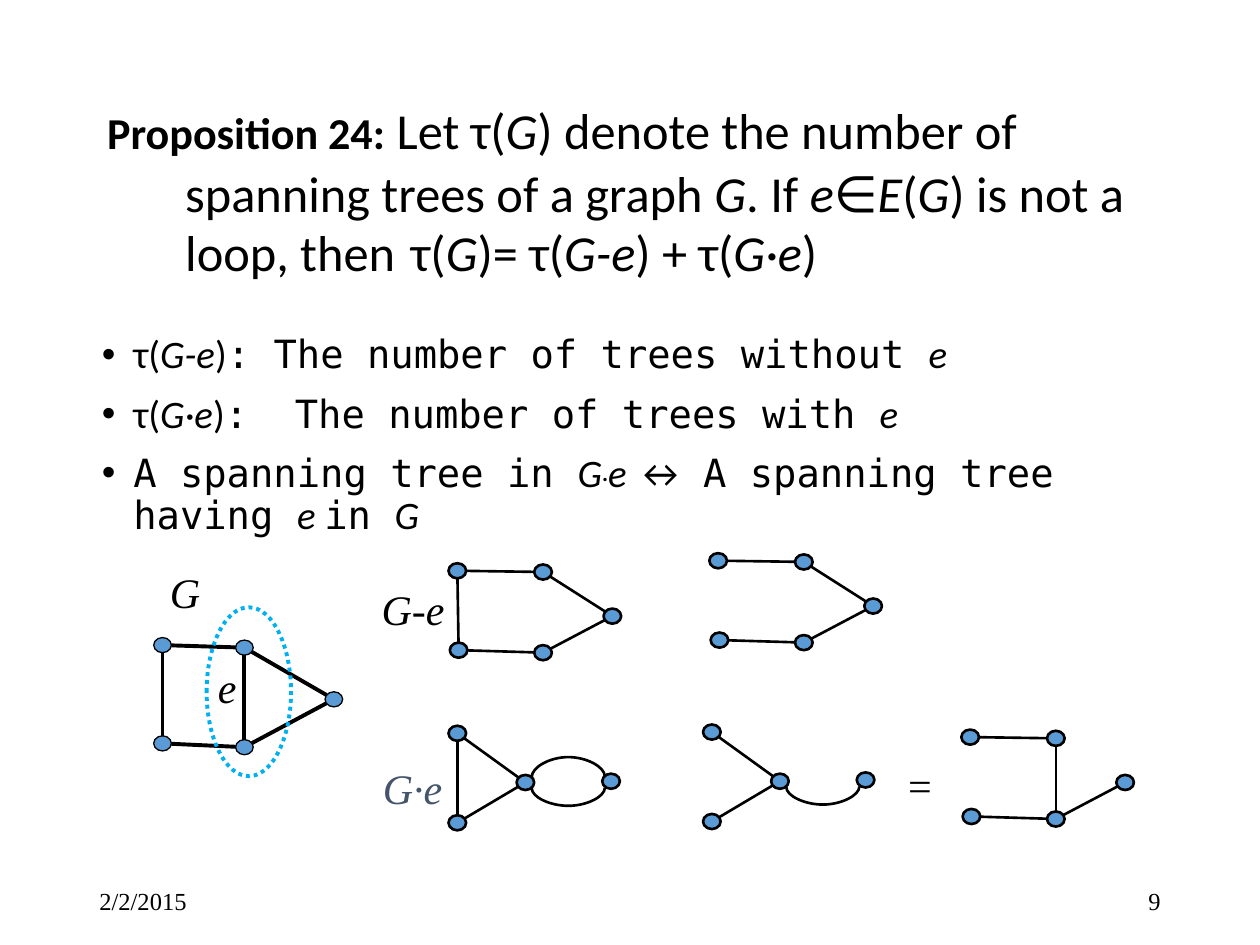
from math import hypot

from lxml import etree
from pptx import Presentation
from pptx.dml.color import RGBColor
from pptx.enum.dml import MSO_LINE
from pptx.enum.shapes import MSO_CONNECTOR as Link, MSO_SHAPE as Shape
from pptx.enum.text import MSO_ANCHOR as Anchor, MSO_AUTO_SIZE as Fit, PP_ALIGN as Align
from pptx.oxml.ns import qn
from pptx.util import Inches, Pt

BLACK = RGBColor(0, 0, 0)
NODE_BLUE = RGBColor(0x5B, 0x9B, 0xD5)
RING_BLUE = RGBColor(0x00, 0xB0, 0xF0)
SLATE = RGBColor(0x44, 0x54, 0x6A)
SANS, MONO, SERIF = "Calibri", "DejaVu Sans Mono", "Times New Roman"

COLUMNS, ROWS = 100, 75
NODE_WIDTH, NODE_HEIGHT = 1.4, 1.2

# Node offsets in grid cells, from the upper left node
SQUARE_HOUSE = [(0, 0), (6.5, 0.2), (13.6, 4.3), (6.5, 8.1), (0, 7.8)]
HOUSE = [(0, 0), (6.8, 0.1), (12.3, 3.6), (6.8, 6.5), (0.1, 6.3)]
KITE = [(0, 0), (0, 7.1), (5.4, 3.9), (12.2, 3.8)]
TOP, UPPER_ROOF, LOWER_ROOF, BOTTOM, LEFT, MIDDLE = (0, 1), (1, 2), (2, 3), (3, 4), (4, 0), (1, 3)
UPPER_ARM, LOWER_ARM, BACK = (0, 2), (1, 2), (0, 1)


class Page:
    """Draws on one slide, with lengths in grid cells."""

    def __init__(self, deck):
        self.slide = deck.slides.add_slide(deck.slide_layouts[5])
        self.shapes = self.slide.shapes
        self.cell_width = deck.slide_width / COLUMNS
        self.cell_height = deck.slide_height / ROWS

    def across(self, columns):
        return round(columns * self.cell_width)

    def down(self, rows):
        return round(rows * self.cell_height)

    def area(self, left, top, width, height):
        return self.across(left), self.down(top), self.across(width), self.down(height)

    def spans(self, para, text, font=SANS, size=22.2, color=BLACK, bold=False, raised=0):
        """Add runs to a paragraph; asterisks switch italics on and off."""
        for index, piece in enumerate(text.split("*")):
            if not piece:
                continue
            span = para.add_run()
            span.text = piece
            span.font.name, span.font.size = font, Pt(size)
            span.font.bold, span.font.italic = bold, index % 2 == 1
            span.font.color.rgb = color
            if raised:
                span.font._element.set("baseline", str(raised * 1000))

    def indent(self, para, inches):
        props = para._p.get_or_add_pPr()
        props.set("marL", str(Inches(inches)))
        props.set("indent", str(-Inches(inches)))
        return props

    def title(self, area, pieces):
        box = self.shapes.title
        box.left, box.top, box.width, box.height = self.area(*area)
        frame = box.text_frame
        frame.auto_size, frame.vertical_anchor = Fit.NONE, Anchor.MIDDLE
        para = frame.paragraphs[0]
        para.alignment, para.line_spacing = Align.LEFT, Pt(36)
        self.indent(para, 0.62)
        for text, style in pieces:
            self.spans(para, text, **style)

    def text_box(self, area, wrap=True):
        frame = self.shapes.add_textbox(*self.area(*area)).text_frame
        frame.word_wrap = wrap
        return frame

    def bullets(self, area, items):
        frame = self.text_box(area)
        for index, pieces in enumerate(items):
            para = frame.add_paragraph() if index else frame.paragraphs[0]
            para.line_spacing, para.space_before = 0.9, Pt(10)
            props = self.indent(para, 0.25)
            etree.SubElement(props, qn("a:buFont")).set("typeface", "Arial")
            etree.SubElement(props, qn("a:buChar")).set("char", "•")
            for text, style in pieces:
                self.spans(para, text, **style)

    def label(self, area, text, color=BLACK):
        frame = self.text_box(area, wrap=False)
        self.spans(frame.paragraphs[0], text, SERIF, 24, color)

    def footer(self, left, text, align):
        frame = self.text_box((left, 69.5, 22.5, 4))
        frame.vertical_anchor = Anchor.MIDDLE
        frame.paragraphs[0].alignment = align
        self.spans(frame.paragraphs[0], text, SERIF, 14)

    def ellipse(self, area, line_color, weight, fill=None, dash=None):
        oval = self.shapes.add_shape(Shape.OVAL, *self.area(*area))
        oval.shadow.inherit = False
        if fill is None:
            oval.fill.background()
        else:
            oval.fill.solid()
            oval.fill.fore_color.rgb = fill
        oval.line.color.rgb, oval.line.width = line_color, Pt(weight)
        if dash:
            oval.line.dash_style = dash

    def connector(self, kind, start, end, weight):
        link = self.shapes.add_connector(
            kind, self.across(start[0]), self.down(start[1]), self.across(end[0]), self.down(end[1]))
        link.line.color.rgb, link.line.width = BLACK, Pt(weight)
        etree.SubElement(link._element.spPr, qn("a:effectLst"))
        return link

    def edge(self, start, end, weight):
        """Join the rims of two nodes, given by their centres."""
        dx, dy = end[0] - start[0], end[1] - start[1]
        trim = 1 / hypot(dx / (NODE_WIDTH / 2), dy / (NODE_HEIGHT / 2))
        self.connector(Link.STRAIGHT, (start[0] + dx * trim, start[1] + dy * trim),
                       (end[0] - dx * trim, end[1] - dy * trim), weight)

    def arc(self, start, end, upward):
        """Bow a curved connector, turned a quarter, between two nodes."""
        thick, span = 0.05, end[0] - start[0] - 1
        x = (start[0] + end[0]) / 2
        y = (start[1] + end[1]) / 2 + (-0.4 if upward else 0.5)
        link = self.connector(Link.CURVE, (x - thick / 2, y - span / 2),
                              (x + thick / 2, y + span / 2), 1.5)
        frame = link._element.spPr.find(qn("a:xfrm"))
        frame.set("rot", str((270 if upward else 90) * 60000))
        if not upward:
            frame.set("flipH", "1")
            frame.set("flipV", "1")
        guide = etree.SubElement(link._element.spPr.find(".//" + qn("a:avLst")), qn("a:gd"))
        guide.set("name", "adj1")
        guide.set("fmla", f"val {3100000 if upward else -2700000}")

    def graph(self, left, top, offsets, edges, arcs=(), edge_weight=1.5, rim=1.5):
        nodes = [(left + dx, top + dy) for dx, dy in offsets]
        for first, second in edges:
            self.edge(nodes[first], nodes[second], edge_weight)
        for upward in arcs:
            self.arc(nodes[2], nodes[3], upward)
        for x, y in nodes:
            self.ellipse((x - NODE_WIDTH / 2, y - NODE_HEIGHT / 2, NODE_WIDTH, NODE_HEIGHT),
                         BLACK, rim, NODE_BLUE)


def main():
    deck = Presentation()
    deck.slide_width, deck.slide_height = Inches(10), Inches(7.5)
    page = Page(deck)
    page.footer(6.9, "2/2/2015", Align.LEFT)
    page.footer(70.6, "9", Align.RIGHT)

    large, mono, plain = {"size": 28.8}, {"font": MONO}, {}
    page.title((7.5, 6.7, 85, 16.9), [
        ("Proposition 24:", {"size": 25.2, "bold": True}),
        (" Let τ(*G*) denote the number of spanning trees of a graph *G*. "
         "If *e*∈*E*(*G*) is not a loop, then", large),
        (" ", {"size": 39.6}),
        ("τ(*G*)= τ(*G-e*) + τ(*G·e*)", large)])
    page.bullets((7.1, 26.1, 85, 16.2), [
        [("τ(*G-e*)", plain), (": The number of trees without ", mono), ("*e*", plain)],
        [("τ(*G·e*)", plain), (":  The number of trees with ", mono), ("*e*", plain)],
        [("A spanning tree in ", mono), ("*G*", plain), (".", {"bold": True, "raised": 16}),
         ("*e* ↔  ", plain), ("A spanning tree having ", mono), ("*e *", plain),
         ("in ", mono), ("*G*", plain)]])

    page.graph(12.9, 51.2, SQUARE_HOUSE, [TOP, UPPER_ROOF, LOWER_ROOF, BOTTOM, LEFT, MIDDLE],
               edge_weight=2.25, rim=0.75)
    page.ellipse((16.4, 48.2, 6.7, 13.4), RING_BLUE, 2.25, dash=MSO_LINE.ROUND_DOT)
    page.graph(36.3, 45.3, HOUSE, [TOP, UPPER_ROOF, LOWER_ROOF, BOTTOM, LEFT])
    page.graph(57, 44.5, HOUSE, [TOP, UPPER_ROOF, LOWER_ROOF, BOTTOM])
    page.graph(36.3, 58.2, KITE, [UPPER_ARM, LOWER_ARM, BACK], arcs=[True, False])
    page.graph(56.5, 58.1, KITE, [UPPER_ARM, LOWER_ARM], arcs=[False])
    page.graph(77, 58.5, HOUSE, [TOP, MIDDLE, LOWER_ROOF, BOTTOM])

    page.label((16.3, 52, 3.5, 5.1), "*e*")
    page.label((12.5, 44.5, 4.4, 5), "*G*")
    page.label((29.3, 45.8, 7, 5), "*G-e*")
    page.label((29.4, 60, 6.7, 5), "*G·e*", SLATE)
    page.label((71.1, 59.8, 2.6, 5), "=")
    deck.save("out.pptx")


if __name__ == "__main__":
    main()
